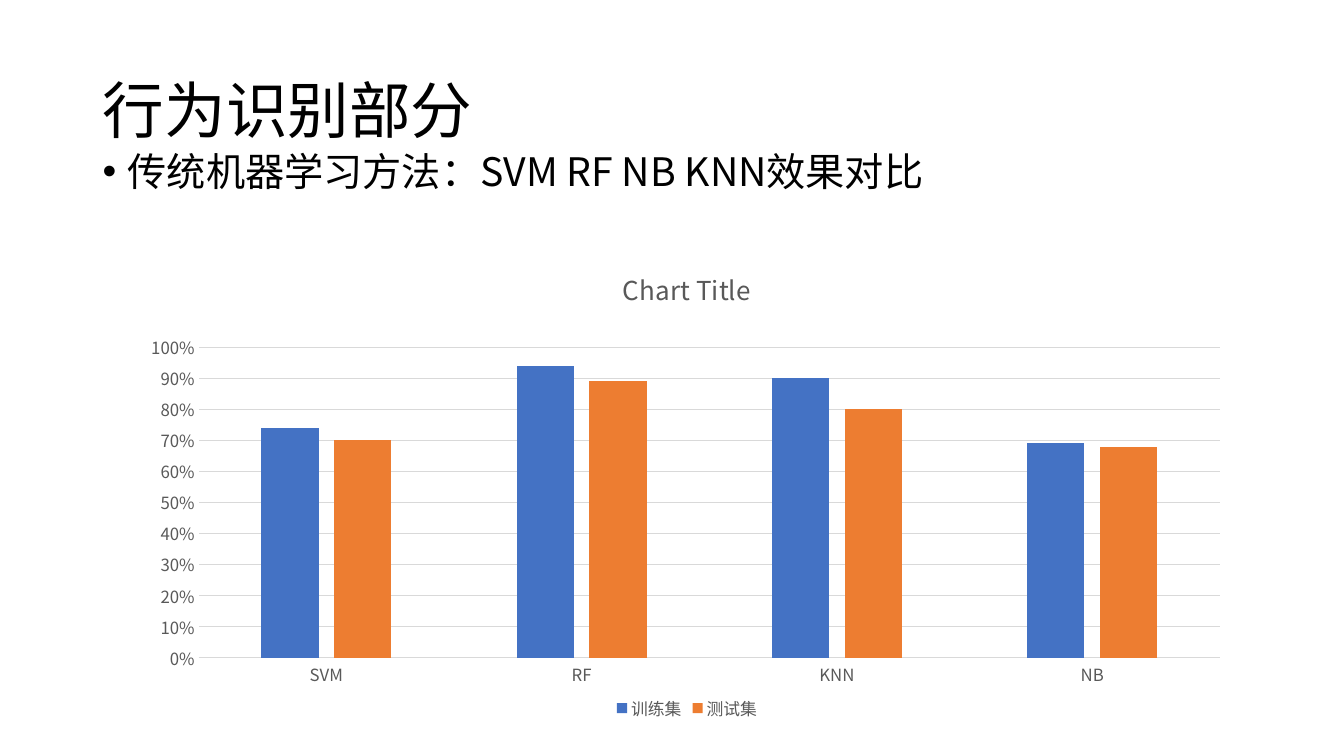
from lxml.etree import SubElement
from pptx import Presentation
from pptx.chart.data import CategoryChartData
from pptx.dml.color import RGBColor
from pptx.enum.chart import XL_CHART_TYPE, XL_LEGEND_POSITION, XL_TICK_MARK
from pptx.enum.text import MSO_ANCHOR, MSO_AUTO_SIZE, PP_ALIGN
from pptx.oxml import parse_xml
from pptx.oxml.ns import nsdecls, qn
from pptx.util import Inches, Pt

BLACK = RGBColor(0x00, 0x00, 0x00)
GRAY = RGBColor(0x59, 0x59, 0x59)
GRID = RGBColor(0xD9, 0xD9, 0xD9)
BLUE = RGBColor(0x44, 0x72, 0xC4)
ORANGE = RGBColor(0xED, 0x7D, 0x31)
FONT = "Noto Sans CJK SC"


def format_font(font, size, color):
    font.name = FONT
    font.size = Pt(size)
    font.bold = False
    font.color.rgb = color


def add_east_asian_font(element):
    for latin in list(element.iter(qn("a:latin"))):
        latin.addnext(parse_xml(f'<a:ea {nsdecls("a")} typeface="{FONT}"/>'))


def write_text(shape, text, size=28, color=BLACK, anchor=MSO_ANCHOR.TOP, space_before=0):
    frame = shape.text_frame
    frame.word_wrap = True
    frame.auto_size = MSO_AUTO_SIZE.NONE
    frame.vertical_anchor = anchor
    paragraph = frame.paragraphs[0]
    paragraph.alignment = PP_ALIGN.LEFT
    paragraph.line_spacing = 0.9
    paragraph.space_before = Pt(space_before)
    run = paragraph.add_run()
    run.text = text
    format_font(run.font, size, color)
    add_east_asian_font(shape.element)


class SlideBuilder:
    """Builds titles, bullets and column charts on one slide."""

    def __init__(self, presentation):
        self.slide = presentation.slides.add_slide(presentation.slide_layouts[5])

    def title(self, text, left, top, width, height):
        shape = self.slide.shapes.title
        shape.left, shape.top = Inches(left), Inches(top)
        shape.width, shape.height = Inches(width), Inches(height)
        write_text(shape, text, size=44, anchor=MSO_ANCHOR.MIDDLE)

    def bullet(self, text, left, top, width, height):
        shape = self.slide.shapes.add_textbox(
            Inches(left), Inches(top), Inches(width), Inches(height))
        write_text(shape, text, space_before=10)
        properties = next(shape.element.iter(qn("a:pPr")))
        properties.set("marL", str(Inches(0.25)))
        properties.set("indent", str(Inches(-0.25)))
        SubElement(properties, qn("a:buFont"), typeface="Arial")
        SubElement(properties, qn("a:buChar"), char="•")

    def column_chart(self, title, categories, series, plot_box, left, top, width, height):
        data = CategoryChartData(number_format="0%")
        data.categories = categories
        for name, values, _ in series:
            data.add_series(name, values)
        chart = self.slide.shapes.add_chart(
            XL_CHART_TYPE.COLUMN_CLUSTERED, Inches(left), Inches(top),
            Inches(width), Inches(height), data).chart
        format_font(chart.font, 10, BLACK)

        chart.has_title = True
        run = chart.chart_title.text_frame.paragraphs[0].add_run()
        run.text = title
        format_font(run.font, 18.6, GRAY)
        chart.chart_title.include_in_layout = False

        chart.has_legend = True
        chart.legend.position = XL_LEGEND_POSITION.BOTTOM
        chart.legend.include_in_layout = False
        format_font(chart.legend.font, 12, GRAY)

        plot = chart.plots[0]
        plot.gap_width = 219
        plot.overlap = -27
        plot.vary_by_categories = False
        for column, (_, _, color) in zip(plot.series, series):
            column.format.fill.solid()
            column.format.fill.fore_color.rgb = color
            column.invert_if_negative = False

        self.format_axes(chart.category_axis, chart.value_axis)
        self.place_plot(chart, plot_box)
        add_east_asian_font(chart.element)

    def format_axes(self, category_axis, value_axis):
        for axis in (category_axis, value_axis):
            axis.major_tick_mark = XL_TICK_MARK.NONE
            axis.minor_tick_mark = XL_TICK_MARK.NONE
            format_font(axis.tick_labels.font, 12, GRAY)
        value_axis.minimum_scale = 0
        value_axis.maximum_scale = 1
        value_axis.major_unit = 0.1
        value_axis.tick_labels.number_format = "0%"
        value_axis.tick_labels.number_format_is_linked = False
        value_axis.format.line.fill.background()
        value_axis.has_major_gridlines = True
        for line in (category_axis.format.line, value_axis.major_gridlines.format.line):
            line.color.rgb = GRID
            line.width = Pt(0.75)

    def place_plot(self, chart, plot_box):
        plot_area = next(chart.element.iter(qn("c:plotArea")))
        for layout in plot_area.findall(qn("c:layout")):
            plot_area.remove(layout)
        layout = parse_xml(f'<c:layout {nsdecls("c")}/>')
        manual = SubElement(layout, qn("c:manualLayout"))
        SubElement(manual, qn("c:layoutTarget"), val="inner")
        for tag in ("xMode", "yMode"):
            SubElement(manual, qn(f"c:{tag}"), val="edge")
        for tag, value in zip("xywh", plot_box):
            SubElement(manual, qn(f"c:{tag}"), val=str(value))
        plot_area.insert(0, layout)


def main():
    presentation = Presentation()
    presentation.slide_width = Inches(13.33)
    presentation.slide_height = Inches(7.5)
    builder = SlideBuilder(presentation)
    builder.title("行为识别部分", 0.92, 0.4, 11.5, 1.45)
    builder.bullet("传统机器学习方法：SVM RF NB KNN效果对比", 0.92, 1.46, 11.5, 5.29)
    builder.column_chart(
        "Chart Title",
        ["SVM", "RF", "KNN", "NB"],
        [("训练集", (0.74, 0.94, 0.9, 0.69), BLUE),
         ("测试集", (0.7, 0.89, 0.8, 0.68), ORANGE)],
        (0.06, 0.21, 0.92, 0.65),
        1.31, 2.45, 11.01, 4.74)
    presentation.save("out.pptx")


if __name__ == "__main__":
    main()
